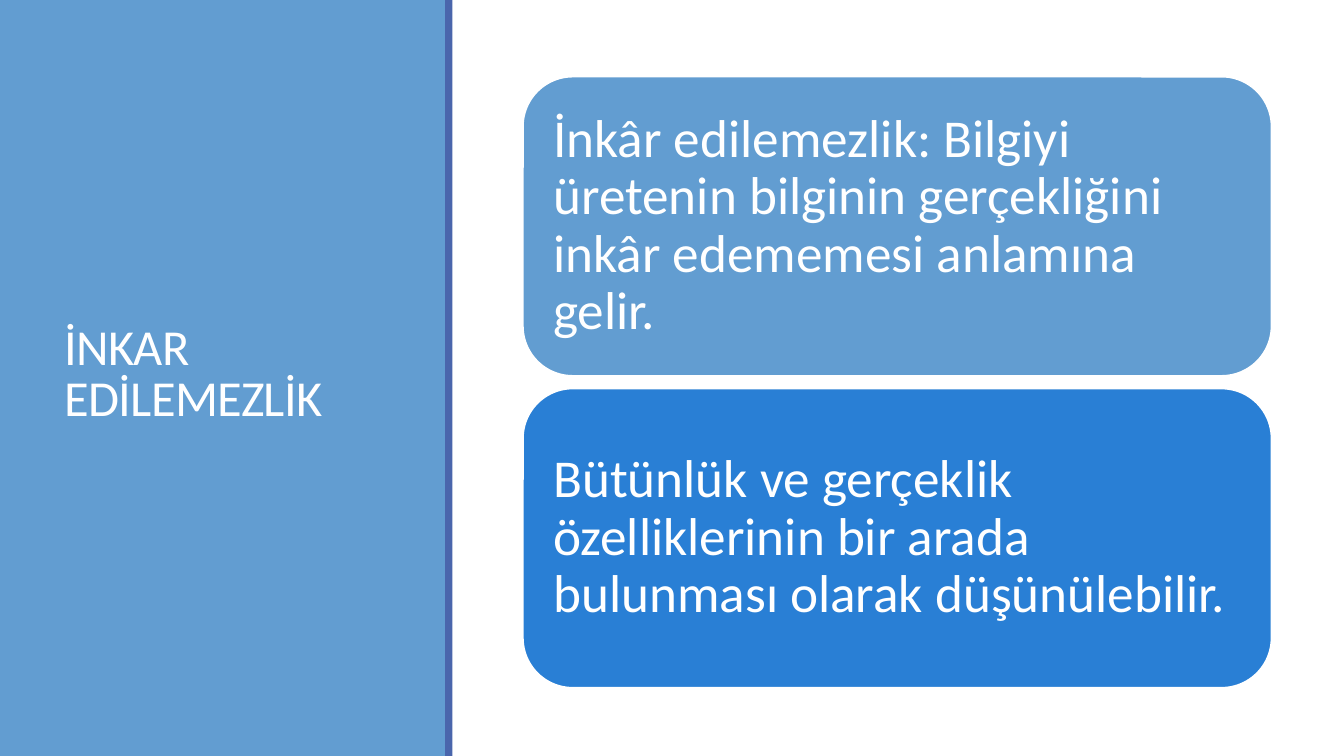
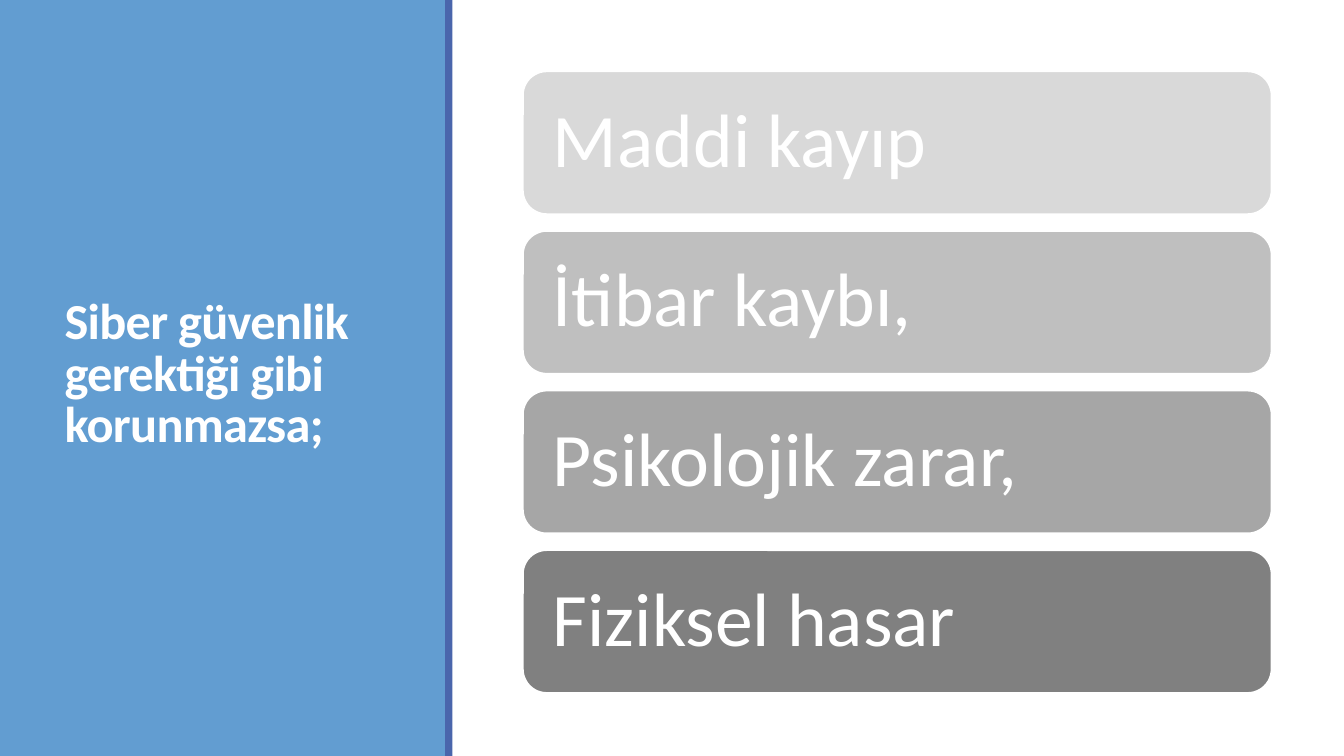
from pptx import Presentation
from pptx.dml.color import RGBColor
from pptx.enum.shapes import MSO_SHAPE
from pptx.enum.text import MSO_ANCHOR, PP_ALIGN
from pptx.util import Pt

RECT = MSO_SHAPE.RECTANGLE
ROUND = MSO_SHAPE.ROUNDED_RECTANGLE
MIDDLE = MSO_ANCHOR.MIDDLE
LEFT = PP_ALIGN.LEFT
PX = 9525
WIDE, HIGH = 1280, 720
CARD_X, CARD_W, CENTER = 498, 713, 364

INK = {
    "white": "FFFFFF", "sky": "629DD1", "navy": "4A66AC", "blue": "297FD5",
    "mist": "D9D9D9", "silver": "BFBFBF", "gray": "A6A6A6", "slate": "808080",
}

DECK = [
    {
        "title": "İNKAR EDİLEMEZLİK", "bold": False,
        "size": 38, "high": 285, "gap": 12, "pad": 15,
        "cards": [
            ("sky", "İnkâr edilemezlik: Bilgiyi üretenin bilginin gerçekliğini "
                    "inkâr edememesi anlamına gelir."),
            ("blue", "Bütünlük ve gerçeklik özelliklerinin bir arada bulunması "
                     "olarak düşünülebilir."),
        ],
    },
    {
        "title": "Siber güvenlik gerektiği gibi korunmazsa;", "bold": True,
        "size": 54, "high": 136, "gap": 16, "pad": 22,
        "cards": [
            ("mist", "Maddi kayıp"),
            ("silver", "İtibar kaybı,"),
            ("gray", "Psikolojik zarar,"),
            ("slate", "Fiziksel hasar"),
        ],
    },
]


def add_box(slide, kind, place, ink):
    box = slide.shapes.add_shape(kind, *[n * PX for n in place])
    box.shadow.inherit = False
    box.fill.solid()
    box.fill.fore_color.rgb = RGBColor.from_string(INK[ink])
    box.line.fill.background()
    return box


def set_text(shape, text, size, space, bold=False):
    frame = shape.text_frame
    frame.word_wrap = True
    frame.vertical_anchor = MIDDLE
    para = frame.paragraphs[0]
    para.alignment = LEFT
    para.line_spacing = space
    run = para.add_run()
    run.text = text
    style = {"name": "Calibri", "size": Pt(size), "bold": bold}
    for key, val in style.items():
        setattr(run.font, key, val)
    run.font.color.rgb = RGBColor.from_string(INK["white"])
    return para


deck = Presentation()
deck.slide_width = WIDE * PX
deck.slide_height = HIGH * PX

for page in DECK:
    slide = deck.slides.add_slide(deck.slide_layouts[6])
    add_box(slide, RECT, (0, 0, 425, HIGH), "sky")
    add_box(slide, RECT, (424, 0, 7, HIGH), "navy")

    title = slide.shapes.add_textbox(52 * PX, 55 * PX, 324 * PX, 606 * PX)
    para = set_text(title, page["title"], 36, 0.85, page["bold"])
    para.space_after = Pt(6)
    para.runs[0].font._element.set("spc", "-50")

    high, step = page["high"], page["high"] + page["gap"]
    count = len(page["cards"])
    top = CENTER - (count * step - page["gap"]) // 2
    for i, (ink, text) in enumerate(page["cards"]):
        card = add_box(slide, ROUND, (CARD_X, top + i * step, CARD_W, high), ink)
        card.line.color.rgb = RGBColor.from_string(INK["white"])
        card.line.width = Pt(1.25)
        for side in ("left", "right", "top", "bottom"):
            setattr(card.text_frame, "margin_" + side, page["pad"] * PX)
        set_text(card, text, page["size"], 0.9)

deck.save("out.pptx")
